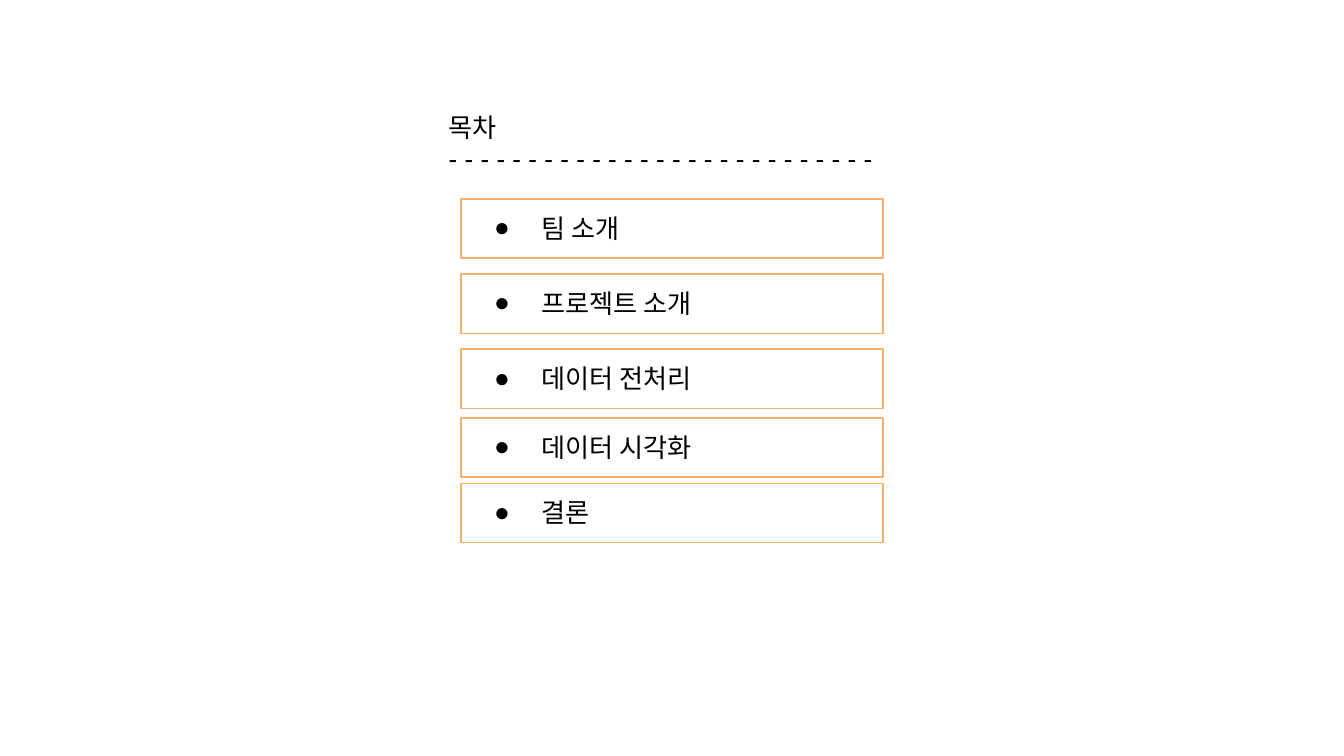
from dataclasses import dataclass

from lxml.etree import SubElement
from pptx import Presentation
from pptx.dml.color import RGBColor
from pptx.enum.shapes import MSO_SHAPE
from pptx.enum.text import MSO_ANCHOR, MSO_AUTO_SIZE, PP_ALIGN
from pptx.oxml.ns import qn
from pptx.util import Cm, Pt


@dataclass(frozen=True)
class Theme:
    """Colours, font and type sizes of the deck."""
    ink: str = "000000"
    border: str = "F6B26B"
    paper: str = "FFFFFF"
    font: str = "Arial"
    body: int = 14
    border_width: float = 0.75


class AgendaPage:
    """Holds the theme and the current slide."""

    def __init__(self, deck, theme):
        """Add a blank slide to the deck."""
        self.theme = theme
        self.page = deck.slides.add_slide(deck.slide_layouts[6])
        fill = self.page.background.fill
        fill.solid()
        fill.fore_color.rgb = RGBColor.from_string(theme.paper)

    def prepare_frame(self, box):
        """Set insets, wrapping and fitting, and return the text frame."""
        frame = box.text_frame
        frame.margin_left = frame.margin_right = Cm(0.25)
        frame.margin_top = frame.margin_bottom = Cm(0.25)
        frame.word_wrap = True
        frame.auto_size = MSO_AUTO_SIZE.SHAPE_TO_FIT_TEXT
        frame.vertical_anchor = MSO_ANCHOR.TOP
        return frame

    def add_span(self, paragraph, text):
        """Add one styled run to a left-aligned paragraph."""
        paragraph.alignment = PP_ALIGN.LEFT
        span = paragraph.add_run()
        span.text = text
        span.font.name = self.theme.font
        span.font.size = Pt(self.theme.body)
        span.font.color.rgb = RGBColor.from_string(self.theme.ink)

    def add_bullet(self, paragraph):
        """Give a paragraph a round bullet and a hanging indent."""
        properties = paragraph._p.get_or_add_pPr()
        properties.set("marL", str(Cm(1.27)))
        properties.set("indent", str(Cm(-0.89)))
        colour = SubElement(properties, qn("a:buClr"))
        SubElement(colour, qn("a:srgbClr"), val=self.theme.ink)
        SubElement(properties, qn("a:buFont"), typeface=self.theme.font)
        SubElement(properties, qn("a:buChar"), char="●")

    def add_heading(self, lines, left, top, width, height):
        """Add a text box with one paragraph per line."""
        box = self.page.shapes.add_textbox(Cm(left), Cm(top), Cm(width), Cm(height))
        frame = self.prepare_frame(box)
        for index, line in enumerate(lines):
            paragraph = frame.add_paragraph() if index else frame.paragraphs[0]
            self.add_span(paragraph, line)

    def add_item(self, text, left, top, width, height):
        """Add an outlined box with one bulleted entry."""
        box = self.page.shapes.add_shape(
            MSO_SHAPE.RECTANGLE, Cm(left), Cm(top), Cm(width), Cm(height))
        box.shadow.inherit = False
        box.fill.background()
        box.line.color.rgb = RGBColor.from_string(self.theme.border)
        box.line.width = Pt(self.theme.border_width)
        paragraph = self.prepare_frame(box).paragraphs[0]
        self.add_bullet(paragraph)
        self.add_span(paragraph, text)


def main():
    """Build and save the agenda slide."""
    deck = Presentation()
    deck.slide_width, deck.slide_height = Cm(25.4), Cm(14.29)
    agenda = AgendaPage(deck, Theme())
    agenda.add_heading(["목차", " ".join("-" * 27)], 8.23, 1.85, 8.64, 1.7)
    items = {
        "팀 소개": 3.76,
        "프로젝트 소개": 5.18,
        "데이터 전처리": 6.6,
        "데이터 시각화": 7.9,
        "결론": 9.14,
    }
    for text, top in items.items():
        agenda.add_item(text, 8.71, top, 7.98, 1.12)
    deck.save("out.pptx")


if __name__ == "__main__":
    main()
